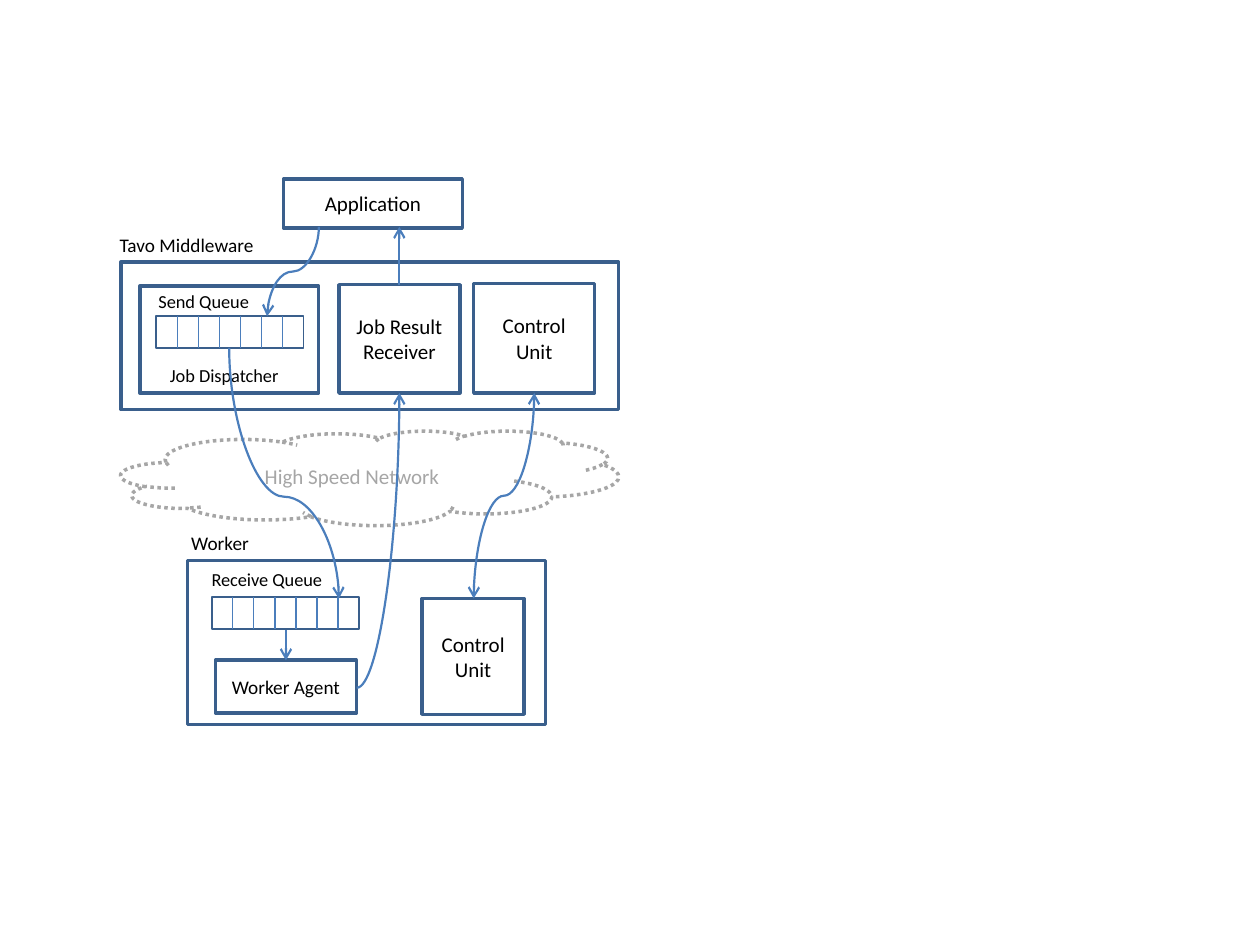
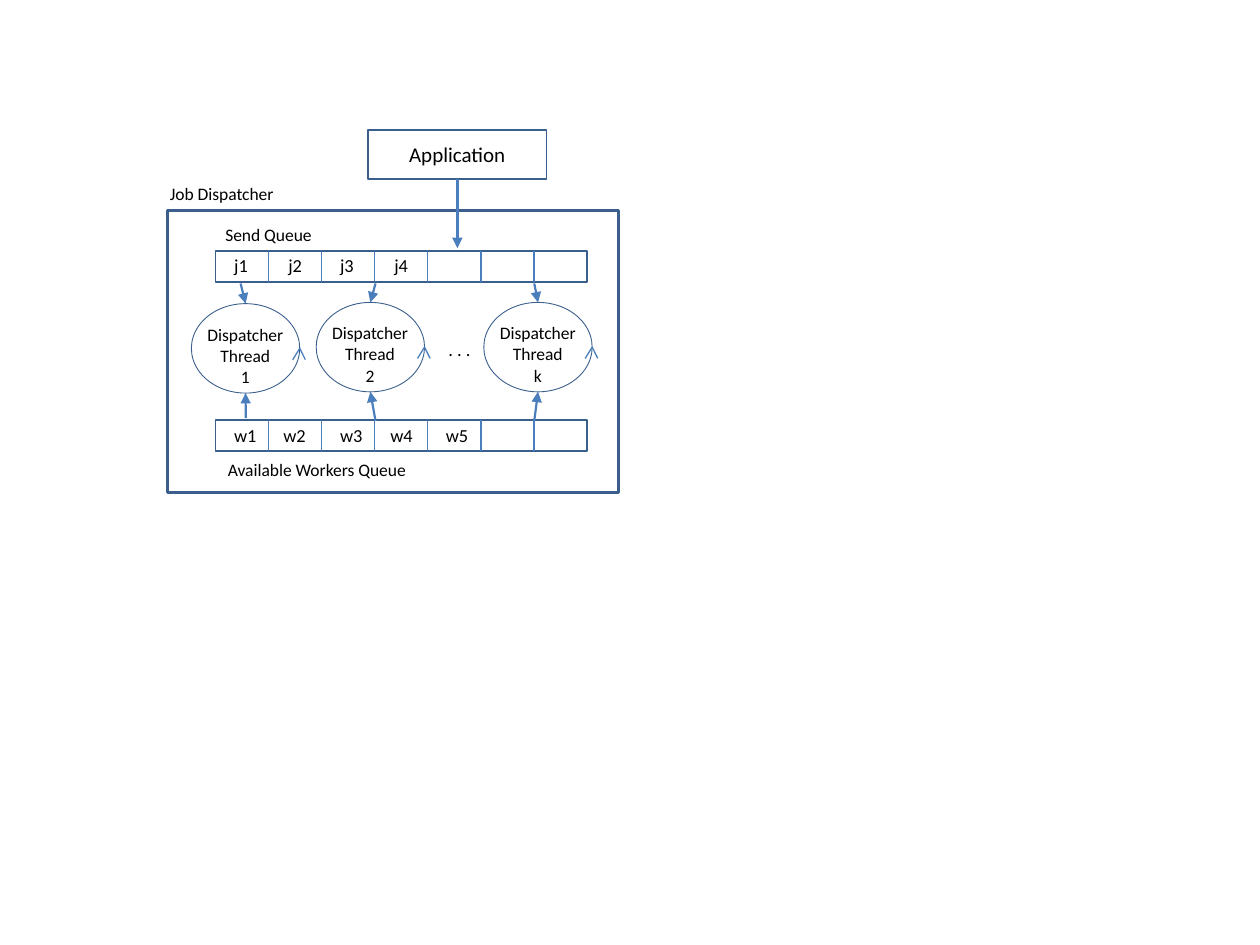
from copy import deepcopy
from dataclasses import dataclass

from lxml.etree import SubElement
from pptx import Presentation
from pptx.dml.color import RGBColor
from pptx.enum.dml import MSO_LINE
from pptx.enum.shapes import MSO_CONNECTOR as Link, MSO_SHAPE as Preset
from pptx.enum.text import MSO_ANCHOR, MSO_AUTO_SIZE, PP_ALIGN
from pptx.oxml.ns import qn
from pptx.util import Pt


@dataclass(frozen=True)
class Theme:
    font: str = "Calibri"
    text: RGBColor = RGBColor(0, 0, 0)
    fill: RGBColor = RGBColor(0xFF, 0xFF, 0xFF)
    outline: RGBColor = RGBColor(0x3A, 0x5F, 0x8C)
    link: RGBColor = RGBColor(0x4B, 0x7E, 0xBC)
    muted: RGBColor = RGBColor(0xA6, 0xA6, 0xA6)
    box_size: float = 12
    label_size: float = 11
    note_size: float = 10.5
    small_size: float = 10
    thick: float = 2
    frame: float = 1.75
    arrow: float = 1.25
    thin: float = 1
    divider: float = 0.75
    hairline: float = 0.5


THEME = Theme()
CELLS = 7

# Architecture: (text, (left, top, width, height), text size)
FRAMES = [
    ("", (69.1, 149.8, 284.4, 84.2), THEME.box_size),
    ("", (79.9, 163.4, 102.2, 61.2), THEME.box_size),
    ("", (107.3, 320.4, 204.5, 93.6), THEME.box_size),
]
NETWORK = ("High Speed Network", (69.1, 246.2, 284.4, 54))
BOXES = [
    ("Application", (162, 102.2, 102.2, 28.1), THEME.box_size),
    ("Job Result Receiver", (193.7, 162.7, 69.1, 61.9), THEME.box_size),
    ("Control Unit", (270.7, 162, 69.1, 62.6), THEME.box_size),
    ("Worker Agent", (123.1, 377.3, 80.6, 30.2), THEME.label_size),
    ("Control Unit", (241.2, 342, 58.3, 66.2), THEME.box_size),
]
SYSTEM_QUEUES = [(89.3, 180.7, 84.2, 18), (121, 341.3, 84.2, 18)]
SYSTEM_LABELS = [
    ("Send Queue", (83.5, 162, 69.1, 20.9), THEME.note_size),
    ("Job Dispatcher", (90, 204.5, 77.8, 20.2), THEME.note_size),
    ("Receive Queue", (113.8, 321.1, 79.2, 20.2), THEME.note_size),
    ("Worker", (102.2, 300.2, 49, 20.9), THEME.label_size),
    ("Tavo Middleware", (61.2, 129.6, 95, 20.9), THEME.label_size),
]
# Curves that leave and arrive vertically: (start, end, bend, both ends)
CURVES = [
    ((305.3, 224.6), (270.7, 342), 0.5, True),
    ((131, 198.7), (193.7, 342), 0.594, False),
    ((182.2, 129.6), (152.6, 180.7), 0.5, False),
]
SYSTEM_ARROWS = [((163.4, 360), (163.4, 377.3)), ((228.2, 162.7), (228.2, 129.6))]
RESULT_CURVE = ((203.8, 393.1), (228.2, 224.6))

# Dispatcher
DISPATCHER = (95.8, 120.2, 257.8, 161.3)
APPLICATION = ("Application", (210.2, 74.2, 102.2, 28.1))
JOB_QUEUE = (123.1, 143.3, 212.4, 18)
WORKER_QUEUE = (123.1, 239.8, 212.4, 18)
THREAD_SIZE = (61.9, 51.1)
# (name, left, top, job arrow start, worker arrow start)
THREADS = [
    ("1", 109.4, 173.5, (137.5, 162), (140.4, 239)),
    ("2", 180.7, 172.8, (214.6, 162), (214.6, 240.5)),
    ("k", 276.5, 172.8, (305.3, 162), (305.3, 240.5)),
]
# (prefix, label lefts, top, width)
CELL_LABELS = [
    ("w", (126.7, 154.8, 187.2, 216, 247.7), 239, 27.4),
    ("j", (126.7, 157.7, 187.2, 218.2), 141.8, 22.3),
]
DISPATCHER_LABELS = [
    ("Send Queue", (121.7, 124.6, 64.8, 19.4), THEME.small_size),
    ("Available Workers Queue", (123.1, 258.5, 118.8, 19.4), THEME.small_size),
    ("Job Dispatcher", (90, 100.8, 74.9, 19.4), THEME.small_size),
    (". . .", (249.1, 189.4, 27.4, 20.2), THEME.note_size),
]
SUBMIT_ARROW = ((261.4, 102.2), (261.4, 141.8))


def points(values):
    return [Pt(value) for value in values]


def write(shape, text, size, color=THEME.text, align=PP_ALIGN.CENTER):
    shape.text_frame.text = text
    for paragraph in shape.text_frame.paragraphs:
        paragraph.alignment = align
        for run in paragraph.runs:
            run.font.name = THEME.font
            run.font.size = Pt(size)
            run.font.color.rgb = color
        # Line breaks take the size of the text around them
        for line_break in paragraph._p.findall(qn("a:br")):
            line_break.append(deepcopy(paragraph.runs[0].font._element))


def add_box(shapes, area, text="", size=THEME.box_size, width=THEME.thick,
            preset=Preset.RECTANGLE, line=THEME.outline, color=THEME.text):
    shape = shapes.add_shape(preset, *points(area))
    shape.shadow.inherit = False
    shape.fill.solid()
    shape.fill.fore_color.rgb = THEME.fill
    shape.line.color.rgb = line
    shape.line.width = Pt(width)
    if text:
        shape.text_frame.word_wrap = True
        shape.text_frame.vertical_anchor = MSO_ANCHOR.MIDDLE
        write(shape, text, size, color)
    return shape


def add_label(shapes, text, area, size, align=PP_ALIGN.LEFT):
    label = shapes.add_textbox(*points(area))
    write(label, text, size, align=align)
    label.text_frame.word_wrap = False
    label.text_frame.auto_size = MSO_AUTO_SIZE.SHAPE_TO_FIT_TEXT


def add_link(shapes, start, end, width=THEME.arrow, head=None, tail=None,
             kind=Link.STRAIGHT):
    link = shapes.add_connector(kind, *points(start + end))
    link.line.color.rgb = THEME.link
    link.line.width = Pt(width)
    outline = link.line._ln
    for tag, arrow in (("a:headEnd", head), ("a:tailEnd", tail)):
        if arrow:
            SubElement(outline, qn(tag), type=arrow)
    SubElement(link._element.spPr, qn("a:effectLst"))
    return link


def add_vertical_curve(shapes, start, end, bend, both):
    """Lay the curve out horizontally about its centre, then turn it by 90 degrees."""
    center_x, center_y = (start[0] + end[0]) / 2, (start[1] + end[1]) / 2
    half_length, half_shift = (end[1] - start[1]) / 2, (start[0] - end[0]) / 2
    link = add_link(shapes, (center_x - half_length, center_y - half_shift),
                    (center_x + half_length, center_y + half_shift),
                    head="arrow" if both else None, tail="arrow", kind=Link.CURVE)
    properties = link._element.spPr
    properties.find(qn("a:xfrm")).set("rot", str(90 * 60000))
    adjustments = properties.find(qn("a:prstGeom")).get_or_add_avLst()
    SubElement(adjustments, qn("a:gd"), name="adj1", fmla=f"val {round(bend * 100000)}")


def add_queue(slide, area):
    shapes = slide.shapes.add_group_shape().shapes
    add_box(shapes, area, width=THEME.thin)
    left, top, width, height = area
    for index in range(1, CELLS):
        x = left + index * width / CELLS
        add_link(shapes, (x, top), (x, top + height), THEME.divider)


def add_thread(slide, name, left, top):
    width, height = THREAD_SIZE
    shapes = slide.shapes.add_group_shape().shapes
    add_box(shapes, (left, top, width, height), width=THEME.hairline, preset=Preset.OVAL)
    tip = (left + width, top + height / 2)
    for offset in (-4, 3.2):  # loop arrowhead
        add_link(shapes, tip, (tip[0] + offset, tip[1] + 6.5), THEME.divider)
    add_label(shapes, f"Dispatcher\vThread\n{name}", (left + 1.6, top + 7.9, 58.3, 43.9),
              THEME.small_size, PP_ALIGN.CENTER)


def build_architecture(slide):
    shapes = slide.shapes
    # Frames, network and components
    for text, area, size in FRAMES:
        add_box(shapes, area, text, size)
    text, area = NETWORK
    cloud = add_box(shapes, area, text, preset=Preset.CLOUD,
                    line=THEME.muted, color=THEME.muted)
    cloud.line.dash_style = MSO_LINE.ROUND_DOT
    for text, area, size in BOXES:
        add_box(shapes, area, text, size)
    for area in SYSTEM_QUEUES:
        add_queue(slide, area)
    for label in SYSTEM_LABELS:
        add_label(shapes, *label)
    # Message flow
    for curve in CURVES:
        add_vertical_curve(shapes, *curve)
    for start, end in SYSTEM_ARROWS:
        add_link(shapes, start, end, tail="arrow")
    result = add_link(shapes, *RESULT_CURVE, tail="arrow", kind=Link.CURVE)
    result._element.spPr.find(qn("a:prstGeom")).set("prst", "curvedConnector2")


def build_dispatcher(slide):
    shapes = slide.shapes
    # Frame, queues and threads
    add_box(shapes, DISPATCHER, width=THEME.frame)
    for area in (WORKER_QUEUE, JOB_QUEUE):
        add_queue(slide, area)
    for name, left, top, _, _ in THREADS:
        add_thread(slide, name, left, top)
    # Labels
    for label in DISPATCHER_LABELS:
        add_label(shapes, *label)
    for prefix, lefts, top, width in CELL_LABELS:
        for number, left in enumerate(lefts, 1):
            add_label(shapes, f"{prefix}{number}", (left, top, width, 20.2), THEME.note_size)
    # Arrows into the threads
    width, height = THREAD_SIZE
    for _, left, top, job, worker in THREADS:
        center = left + width / 2
        add_link(shapes, job, (center, top), tail="triangle")
        add_link(shapes, worker, (center, top + height), tail="triangle")
    # Application
    text, area = APPLICATION
    add_box(shapes, area, text, width=THEME.thin)
    add_link(shapes, *SUBMIT_ARROW, tail="triangle")


presentation = Presentation()
presentation.slide_width, presentation.slide_height = Pt(720), Pt(540)
blank = presentation.slide_layouts[6]
for build in (build_architecture, build_dispatcher):
    build(presentation.slides.add_slide(blank))
presentation.save("out.pptx")
